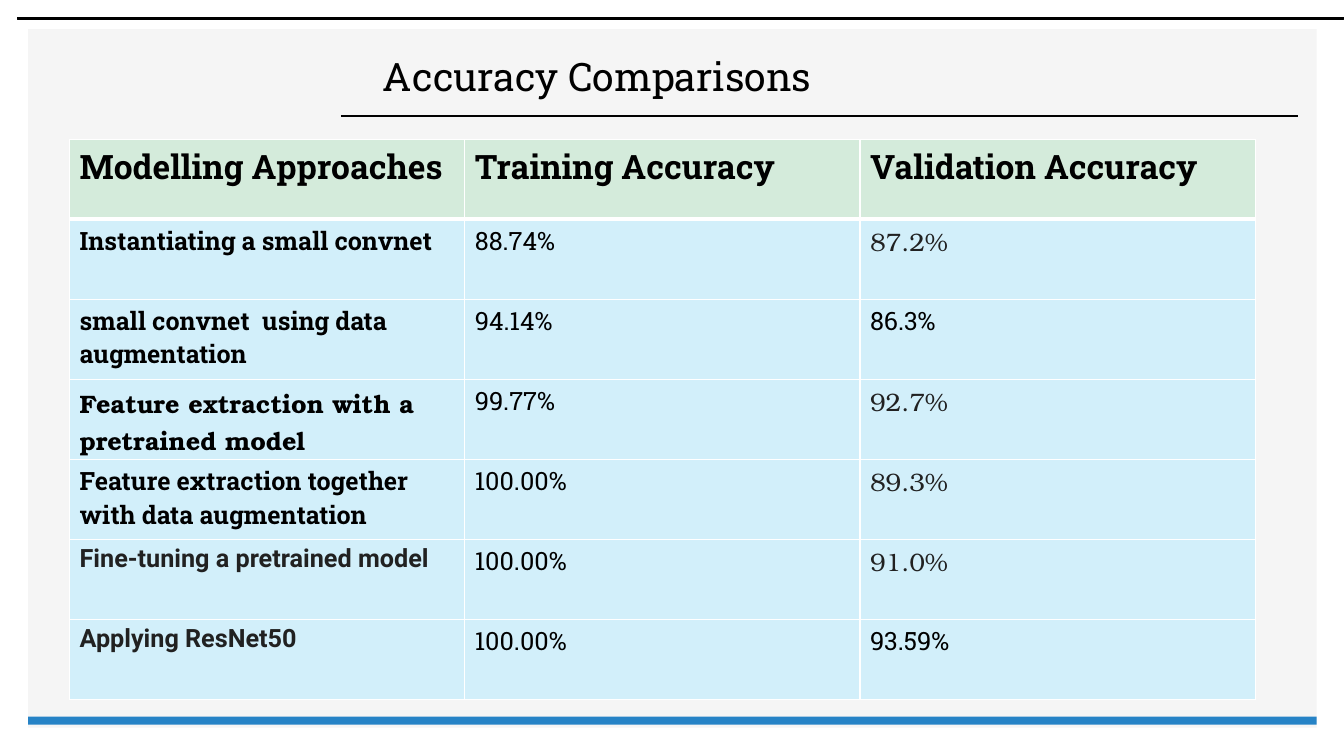
"""Build a slide that compares the accuracy of modelling approaches."""
from dataclasses import dataclass

from lxml import etree
from pptx import Presentation
from pptx.dml.color import RGBColor
from pptx.enum import shapes, text
from pptx.oxml import ns
from pptx.util import Inches, Pt

BLACK = RGBColor(0x00, 0x00, 0x00)
INK = RGBColor(0x21, 0x21, 0x21)
WHITE = RGBColor(0xFF, 0xFF, 0xFF)
GREY = RGBColor(0xF5, 0xF5, 0xF5)
BLUE = RGBColor(0x26, 0x83, 0xC6)
GREEN = RGBColor(0xD4, 0xEB, 0xDB)
SKY = RGBColor(0xD2, 0xEF, 0xFA)

SLAB, SANS, BONUM = "Roboto Slab", "Roboto", "TeX Gyre Bonum"


@dataclass(frozen=True)
class Bar:
    """A filled rectangle, in inches."""
    left: float
    top: float
    width: float
    height: float
    color: RGBColor
    edge: float = 0


@dataclass(frozen=True)
class Style:
    """The look of a run."""
    font: str = SLAB
    color: RGBColor = BLACK
    size: float = 18
    bold: bool = False


@dataclass(frozen=True)
class Entry:
    """The words of a table cell and their look."""
    words: str
    style: Style = Style()


TITLE = Style(size=28)
HEAD = Style(size=24, bold=True)
LABEL = Style(bold=True)
SERIF = Style(BONUM, bold=True)
PLAIN = Style(SANS, INK, bold=True)
NOTE = Style(BONUM, INK)

BARS = (
    Bar(0.28, 0.29, 12.78, 6.93, GREY),
    Bar(0.28, 7.11, 12.78, 0.08, BLUE),
    Bar(0.17, 0.17, 13.16, 0.02, BLACK, 0.75),
)
ROWS = (
    (Entry("Modelling Approaches", HEAD), Entry("Training Accuracy", HEAD),
     Entry("Validation Accuracy", HEAD)),
    (Entry("Instantiating a small convnet", LABEL), Entry("88.74%"),
     Entry("87.2%", NOTE)),
    (Entry("small convnet  using data augmentation", LABEL), Entry("94.14%"),
     Entry("86.3%")),
    (Entry("Feature extraction with a pretrained model", SERIF),
     Entry("99.77%"), Entry("92.7%", NOTE)),
    (Entry("Feature extraction together with data augmentation", LABEL),
     Entry("100.00%"), Entry("89.3%", NOTE)),
    (Entry("Fine-tuning a pretrained model", PLAIN), Entry("100.00%"),
     Entry("91.0%", NOTE)),
    (Entry("Applying ResNet50", PLAIN), Entry("100.00%"), Entry("93.59%")),
)


def write(para, words: str, style: Style) -> None:
    """Add one styled run to a paragraph."""
    run = para.add_run()
    run.text = words
    run.font.name = style.font
    run.font.size = Pt(style.size)
    run.font.bold = style.bold
    run.font.color.rgb = style.color


def draw_bar(slide, bar: Bar) -> None:
    """Draw a filled rectangle."""
    shape = slide.shapes.add_shape(
        shapes.MSO_SHAPE.RECTANGLE, Inches(bar.left), Inches(bar.top),
        Inches(bar.width), Inches(bar.height))
    shape.shadow.inherit = False
    shape.fill.solid()
    shape.fill.fore_color.rgb = bar.color
    if bar.edge:
        shape.line.color.rgb = bar.color
        shape.line.width = Pt(bar.edge)
    else:
        shape.line.fill.background()


def draw_rule(slide) -> None:
    """Draw the thin line under the title."""
    rule = slide.shapes.add_connector(
        shapes.MSO_CONNECTOR.STRAIGHT, Inches(3.38), Inches(1.15),
        Inches(12.87), Inches(1.15))
    rule.line.color.rgb = BLACK
    rule.line.width = Pt(1)
    etree.SubElement(rule._element.spPr, ns.qn("a:effectLst"))


def draw_title(slide) -> None:
    """Write the slide title."""
    box = slide.shapes.add_textbox(
        Inches(3.7), Inches(0.42), Inches(9.17), Inches(0.73))
    frame = box.text_frame
    frame.word_wrap = True
    frame.vertical_anchor = text.MSO_ANCHOR.MIDDLE
    para = frame.paragraphs[0]
    para.line_spacing = 0.9
    write(para, "Accuracy Comparisons", TITLE)


def add_edge(cell, side: str, width: float) -> None:
    """Give one side of a cell a white border."""
    props = cell._tc.get_or_add_tcPr()
    edge = etree.SubElement(props, ns.qn(f"a:ln{side}"), w=str(Pt(width)))
    fill = etree.SubElement(edge, ns.qn("a:solidFill"))
    etree.SubElement(fill, ns.qn("a:srgbClr"), val=str(WHITE))


def draw_table(slide) -> None:
    """Draw the accuracy table."""
    table = slide.shapes.add_table(
        len(ROWS), len(ROWS[0]), Inches(0.69), Inches(1.38),
        Inches(11.76), Inches(5.56)).table
    for i, row in enumerate(ROWS):
        for j, entry in enumerate(row):
            cell = table.cell(i, j)
            for side in "LRTB":
                thick = (i, side) in ((0, "B"), (1, "T"))
                add_edge(cell, side, 3 if thick else 1)
            cell.fill.solid()
            cell.fill.fore_color.rgb = SKY if i else GREEN
            write(cell.text_frame.paragraphs[0], entry.words, entry.style)


def main() -> None:
    """Build and save the deck."""
    deck = Presentation()
    deck.slide_width = Inches(13.33)
    deck.slide_height = Inches(7.5)
    slide = deck.slides.add_slide(deck.slide_layouts[6])
    for bar in BARS:
        draw_bar(slide, bar)
    draw_rule(slide)
    draw_title(slide)
    draw_table(slide)
    deck.save("out.pptx")


if __name__ == "__main__":
    main()
